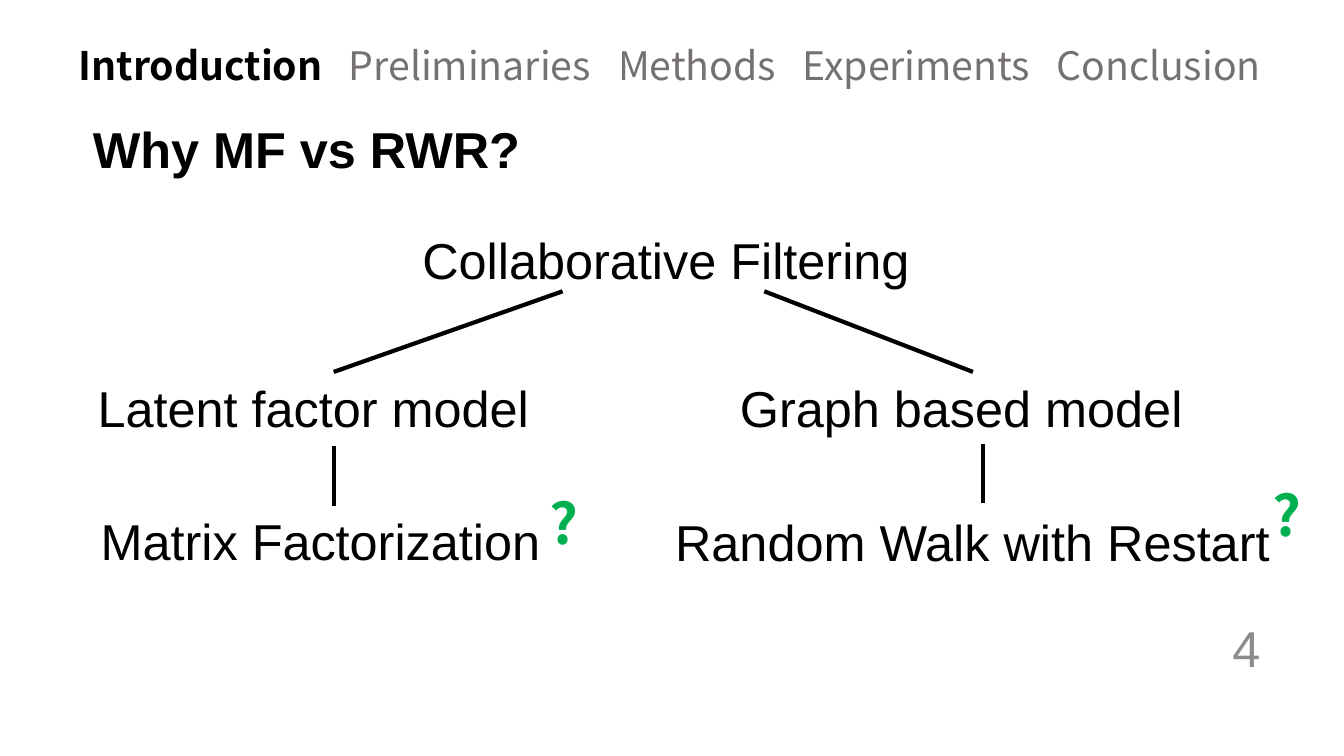
from lxml import etree
from pptx import Presentation
from pptx.dml.color import RGBColor
from pptx.enum.shapes import MSO_CONNECTOR
from pptx.enum.text import MSO_ANCHOR, MSO_AUTO_SIZE, PP_ALIGN
from pptx.oxml.ns import qn
from pptx.util import Inches, Pt

LEFT, CENTER, RIGHT = PP_ALIGN.LEFT, PP_ALIGN.CENTER, PP_ALIGN.RIGHT
TOP, MIDDLE = MSO_ANCHOR.TOP, MSO_ANCHOR.MIDDLE
STRAIGHT = MSO_CONNECTOR.STRAIGHT
NO_AUTOFIT = MSO_AUTO_SIZE.NONE

BODY_FONT, ACCENT_FONT = "Arial", "Noto Sans CJK KR"
BLACK, GRAY, PAGE_GRAY, GREEN = "000000", "767171", "8C8C8C", "00B050"

SECTIONS = ["Introduction", "Preliminaries", "Methods", "Experiments", "Conclusion"]
SECTION_TABS = [2.68, 5.35, 7.18, 9.7]

TOPICS = [
    ("Collaborative Filtering", (4.09, 2.22, 5.27, 0.71), LEFT),
    ("Latent factor model", (0.87, 3.69, 5.27, 0.71), LEFT),
    ("Graph based model", (7.24, 3.69, 5.27, 0.71), LEFT),
    ("Matrix Factorization", (0.65, 5.01, 5.06, 0.71), CENTER),
    ("Random Walk with Restart", (6.52, 5.02, 6.25, 0.71), CENTER),
]
BRANCHES = [
    ((5.58, 2.89), (3.31, 3.69)),
    ((7.58, 2.89), (9.65, 3.69)),
    ((3.31, 4.42), (3.31, 5.02)),
    ((9.75, 4.4), (9.75, 4.99)),
]
QUESTION_MARKS = [(5.35, 4.8), (12.52, 4.72)]


def color(hex_value):
    return RGBColor.from_string(hex_value)


def style_font(font, size, name, hex_value, bold=False):
    font.size = Pt(size)
    font.name = name
    font.bold = bold
    font.color.rgb = color(hex_value)


def add_label(slide, text, box, size=36, name=BODY_FONT, hex_value=BLACK,
              bold=False, align=LEFT, anchor=TOP):
    label = slide.shapes.add_textbox(*map(Inches, box))
    frame = label.text_frame
    frame.word_wrap = True
    frame.vertical_anchor = anchor
    frame.text = text
    paragraph = frame.paragraphs[0]
    paragraph.alignment = align
    style_font(paragraph.runs[0].font, size, name, hex_value, bold)
    return label


def add_section_bar(slide, current):
    bar = slide.shapes.add_textbox(*map(Inches, (0.45, 0.36, 12.43, 0.57)))
    frame = bar.text_frame
    frame.word_wrap = True
    frame.margin_left = Inches(0.33)
    paragraph = frame.paragraphs[0]
    paragraph.alignment = LEFT
    tabs = etree.SubElement(paragraph._p.get_or_add_pPr(), qn("a:tabLst"))
    for position in SECTION_TABS:
        etree.SubElement(tabs, qn("a:tab"), pos=str(Inches(position)), algn="l")
    for index, section in enumerate(SECTIONS):
        run = paragraph.add_run()
        run.text = "\t" + section if index else section
        active = section == current
        style_font(run.font, 28, ACCENT_FONT, BLACK if active else GRAY, active)


def set_title(slide, text):
    title = slide.shapes.title
    title.left, title.top, title.width, title.height = map(
        Inches, (0.82, 1.12, 11.69, 0.71))
    frame = title.text_frame
    frame.text = text
    frame.word_wrap = True
    frame.auto_size = NO_AUTOFIT
    frame.vertical_anchor = TOP
    paragraph = frame.paragraphs[0]
    paragraph.alignment = LEFT
    style_font(paragraph.runs[0].font, 36, BODY_FONT, BLACK, True)


def add_branch(slide, start, end):
    branch = slide.shapes.add_connector(STRAIGHT, *map(Inches, start + end))
    branch.line.color.rgb = color(BLACK)
    branch.line.width = Pt(3)
    etree.SubElement(branch._element.spPr, qn("a:effectLst"))


def main():
    deck = Presentation()
    deck.slide_width, deck.slide_height = Inches(13.33), Inches(7.5)
    slide = deck.slides.add_slide(deck.slide_layouts[5])

    add_section_bar(slide, "Introduction")
    set_title(slide, "Why MF vs RWR?")
    for topic, box, align in TOPICS:
        add_label(slide, topic, box, align=align)
    for start, end in BRANCHES:
        add_branch(slide, start, end)
    for left, top in QUESTION_MARKS:
        add_label(slide, "?", (left, top, 0.8, 0.77), 40, ACCENT_FONT, GREEN, True)
    add_label(slide, "4", (9.6, 6.22, 3, 0.4), hex_value=PAGE_GRAY,
              align=RIGHT, anchor=MIDDLE)

    deck.save("out.pptx")


if __name__ == "__main__":
    main()
